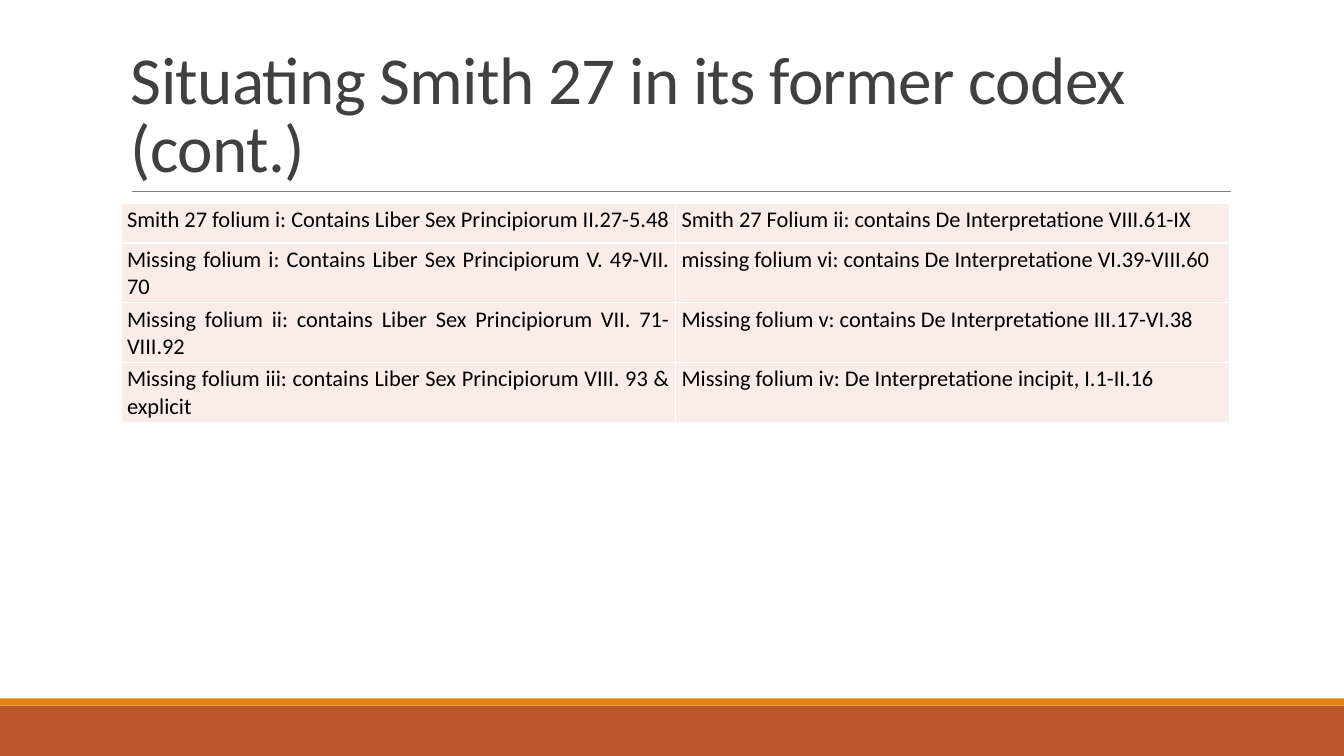
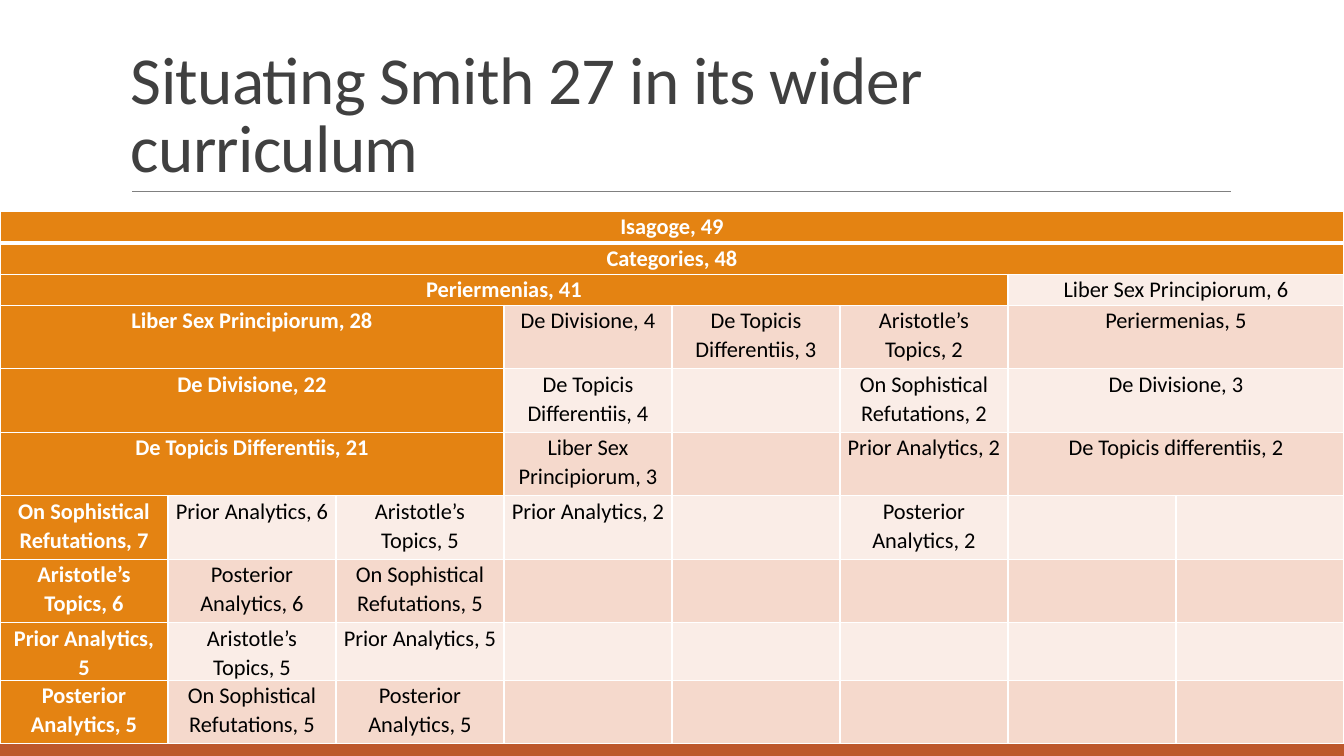
"""Build two slides that place Smith 27 in its codex and its curriculum."""
from itertools import zip_longest

from lxml import etree
from pptx import Presentation
from pptx.dml.color import RGBColor
from pptx.enum.shapes import MSO_CONNECTOR, MSO_SHAPE
from pptx.enum.text import MSO_ANCHOR, PP_ALIGN
from pptx.oxml.ns import qn
from pptx.util import Inches, Pt

FONT = "Calibri"
RUST = RGBColor(0xBD, 0x58, 0x2C)
ORANGE = RGBColor(0xE4, 0x83, 0x12)
PALE = RGBColor(0xFA, 0xED, 0xE7)
PEACH = RGBColor(0xF5, 0xD9, 0xCC)
WHITE = RGBColor(0xFF, 0xFF, 0xFF)
BLACK = RGBColor(0, 0, 0)
GRAY = RGBColor(0x80, 0x80, 0x80)
TITLE_GRAY = RGBColor(0x40, 0x40, 0x40)
WIDTH = 13.33

deck = Presentation()
deck.slide_width, deck.slide_height = Inches(WIDTH), Inches(7.5)


def add_page(title):
    page = deck.slides.add_slide(deck.slide_layouts[6])
    for top, height, color in ((7, 0.5, RUST), (6.93, 0.07, ORANGE)):
        band = page.shapes.add_shape(
            MSO_SHAPE.RECTANGLE, 0, Inches(top), Inches(WIDTH), Inches(height))
        band.shadow.inherit = False
        band.fill.solid()
        band.fill.fore_color.rgb = color
        band.line.fill.background()
    rule = page.shapes.add_connector(
        MSO_CONNECTOR.STRAIGHT, Inches(1.31), Inches(1.9), Inches(12.21), Inches(1.9))
    rule.line.color.rgb = GRAY
    rule.line.width = Pt(0.5)
    etree.SubElement(rule._element.spPr, qn("a:effectLst"))
    box = page.shapes.add_textbox(Inches(1.2), Inches(0.31), Inches(11), Inches(1.59))
    box.text_frame.word_wrap = True
    box.text_frame.vertical_anchor = MSO_ANCHOR.BOTTOM
    para = box.text_frame.paragraphs[0]
    para.line_spacing = 0.85
    para.font.name, para.font.size = FONT, Pt(48)
    para.font.color.rgb = TITLE_GRAY
    span = para.add_run()
    span.text = title
    span.font._element.set("spc", "-50")
    return page


def style_cell(cell, text, fill, color, align, inset, bold=False, thick=None):
    cell.margin_left = cell.margin_right = Inches(inset[0])
    cell.margin_top = cell.margin_bottom = Inches(inset[1])
    props = cell._tc.get_or_add_tcPr()
    for side in ("lnL", "lnR", "lnT", "lnB"):
        weight = Pt(3 if side == thick else 1)
        line = etree.SubElement(props, qn(f"a:{side}"), w=str(weight))
        paint = etree.SubElement(line, qn("a:solidFill"))
        etree.SubElement(paint, qn("a:srgbClr"), val=str(WHITE))
    cell.fill.solid()
    cell.fill.fore_color.rgb = fill
    para = cell.text_frame.paragraphs[0]
    para.alignment = align
    para.font.name, para.font.size, para.font.bold = FONT, Pt(16), bold
    para.font.color.rgb = color
    if text:
        para.add_run().text = text


page = add_page("Situating Smith 27 in its former codex (cont.)")
FOLIA = [
    ("Smith 27 folium i: Contains Liber Sex Principiorum II.27-5.48",
     "Smith 27 Folium ii: contains De Interpretatione VIII.61-IX"),
    ("Missing folium i: Contains Liber Sex Principiorum V. 49-VII. 70",
     "missing folium vi: contains De Interpretatione VI.39-VIII.60"),
    ("Missing folium ii: contains Liber Sex Principiorum VII. 71-VIII.92",
     "Missing folium v: contains De Interpretatione III.17-VI.38"),
    ("Missing folium iii: contains Liber Sex Principiorum VIII. 93 & explicit",
     "Missing folium iv: De Interpretatione incipit, I.1-II.16"),
]
folia = page.shapes.add_table(
    len(FOLIA), 2, Inches(1.2), Inches(2.02), Inches(11), Inches(0.39 * len(FOLIA))).table
for row, texts in enumerate(FOLIA):
    for col, text in enumerate(texts):
        style_cell(folia.cell(row, col), text, PALE, BLACK, PP_ALIGN.JUSTIFY, (0.06, 0.03))

page = add_page("Situating Smith 27 in its wider curriculum")
COLUMNS = 8
SINGLE = (1,) * COLUMNS
GROUPED = (3, 1, 1, 1, 2)
CURRICULUM = [
    (0.31, (8,), ["Isagoge, 49"]),
    (0.31, (8,), ["Categories, 48"]),
    (0.31, (6, 2), ["Periermenias, 41", "Liber Sex Principiorum, 6"]),
    (0.63, GROUPED, ["Liber Sex Principiorum, 28", "De Divisione, 4",
                     "De Topicis Differentiis, 3", "Aristotle’s Topics, 2",
                     "Periermenias, 5"]),
    (0.63, GROUPED, ["De Divisione, 22", "De Topicis Differentiis, 4", "",
                     "On Sophistical Refutations, 2", "De Divisione, 3"]),
    (0.63, GROUPED, ["De Topicis Differentiis, 21", "Liber Sex Principiorum, 3", "",
                     "Prior Analytics, 2", "De Topicis differentiis, 2"]),
    (0.63, SINGLE, ["On Sophistical Refutations, 7", "Prior Analytics, 6",
                    "Aristotle’s Topics, 5", "Prior Analytics, 2", "",
                    "Posterior Analytics, 2"]),
    (0.63, SINGLE, ["Aristotle’s Topics, 6", "Posterior Analytics, 6",
                    "On Sophistical Refutations, 5"]),
    (0.31, SINGLE, ["Prior Analytics, 5", "Aristotle’s Topics, 5", "Prior Analytics, 5"]),
    (0.63, SINGLE, ["Posterior Analytics, 5", "On Sophistical Refutations, 5",
                    "Posterior Analytics, 5"]),
]
THICK_SIDES = {0: "lnB", 1: "lnT"}
curriculum = page.shapes.add_table(
    len(CURRICULUM), COLUMNS, 0, Inches(2.1), Inches(WIDTH), Inches(5.02)).table
for row, (height, spans, texts) in enumerate(CURRICULUM):
    curriculum.rows[row].height = Inches(height)
    col = 0
    for width, text in zip_longest(spans, texts, fillvalue=""):
        heading = col == 0
        fill = ORANGE if heading else (PALE, PEACH)[row % 2]
        if width > 1:
            curriculum.cell(row, col).merge(curriculum.cell(row, col + width - 1))
        for offset in range(width):
            cell = curriculum.cell(row, col + offset)
            style_cell(cell, "" if offset else text, fill, WHITE if heading else BLACK,
                       PP_ALIGN.CENTER, (0.07, 0), heading, THICK_SIDES.get(row))
            cell.text_frame.paragraphs[0].line_spacing = 1.07
        col += width

deck.save("out.pptx")
